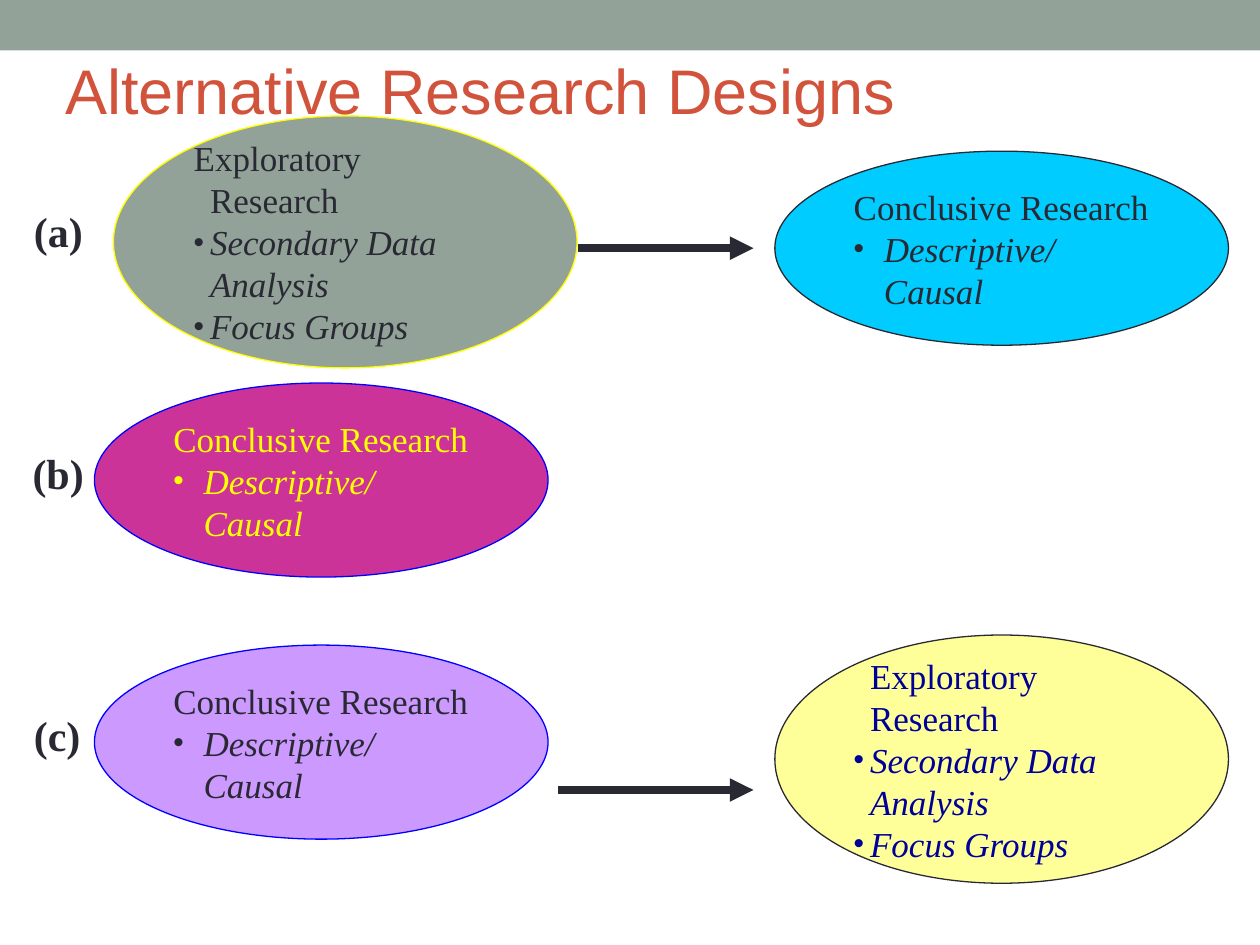
from pptx import Presentation
from pptx.dml.color import RGBColor
from pptx.enum.shapes import MSO_CONNECTOR as Connector, MSO_SHAPE as Shape
from pptx.enum.text import MSO_ANCHOR as Anchor, PP_ALIGN as Align
from pptx.oxml.ns import qn
from pptx.util import Inches, Pt
from lxml.etree import SubElement

TITLE = "Alternative Research Designs"
SERIF, INK, SAGE = "Times New Roman", "292934", "93A299"
EXPLORATORY = ("Exploratory Research", "Secondary Data Analysis", "Focus Groups")
CONCLUSIVE = ("Conclusive Research", "Descriptive/Causal")
LEFT, RIGHT, OVAL_WIDTH, OVAL_HEIGHT = 0.75, 6.15, 3.6, 1.54
ARROW_END = 5.98

# text, left, top, width, height, fill, line, font colour, hanging, first indent
OVALS = [
    (EXPLORATORY, 0.9, 0.92, 3.68, 2, SAGE, "FFFF00", INK, 0.13, -0.13),
    (CONCLUSIVE, LEFT, 3.04, OVAL_WIDTH, OVAL_HEIGHT, "CC3399", "0000FF", "FFFF00", 0.24, -0.24),
    (CONCLUSIVE, RIGHT, 1.2, OVAL_WIDTH, OVAL_HEIGHT, "00CCFF", INK, INK, 0.24, -0.24),
    (EXPLORATORY, RIGHT, 5.04, OVAL_WIDTH, 1.97, "FFFF99", INK, "000099", 0.13, 0),
    (CONCLUSIVE, LEFT, 5.12, OVAL_WIDTH, OVAL_HEIGHT, "CC99FF", "0000FF", INK, 0.24, -0.24),
]
ARROWS = [(4.43, 6.27), (4.59, 1.97)]
LABELS = [("(a)", 0.17, 1.58, 0.59), ("(b)", 0.16, 3.5, 0.69), ("(c)", 0.17, 5.58, 0.65)]


def color(value):
    return RGBColor.from_string(value)


def inches(*values):
    return [Inches(value) for value in values]


def add_span(para, text, size, font, hue, bold=False, italic=False):
    span = para.add_run()
    span.text = text
    span.font.size, span.font.name = Pt(size), font
    span.font.bold, span.font.italic = bold, italic
    span.font.color.rgb = color(hue)


def add_shape(page, kind, area, fill, line=None):
    shape = page.shapes.add_shape(kind, *inches(*area))
    shape.shadow.inherit = False
    shape.fill.solid()
    shape.fill.fore_color.rgb = color(fill)
    if line:
        shape.line.color.rgb = color(line)
        shape.line.width = Pt(0.75)
    else:
        shape.line.fill.background()
    return shape


def add_bullet(para, hue):
    props = para._p.get_or_add_pPr()
    SubElement(SubElement(props, qn("a:buClr")), qn("a:srgbClr"), val=hue)
    SubElement(props, qn("a:buSzPct"), val="85000")
    SubElement(props, qn("a:buFont"), typeface="Arial")
    SubElement(props, qn("a:buChar"), char="•")


def add_oval(page, lines, left, top, width, height, fill, line, hue, hanging, first):
    oval = add_shape(page, Shape.OVAL, (left, top, width, height), fill, line)
    frame = oval.text_frame
    frame.word_wrap = True
    frame.vertical_anchor = Anchor.MIDDLE
    for row, text in enumerate(lines):
        para = frame.add_paragraph() if row else frame.paragraphs[0]
        para.alignment = Align.LEFT
        para.line_spacing = Pt(24)
        if row or hanging < 0.2:
            indent = -hanging if row else first
            props = para._p.get_or_add_pPr()
            props.set("marL", str(Inches(hanging)))
            props.set("indent", str(Inches(indent)))
        if row:
            add_bullet(para, hue)
        add_span(para, text, 20, SERIF, hue, italic=row > 0)


def add_arrow(page, start, level):
    arrow = page.shapes.add_connector(
        Connector.STRAIGHT, *inches(start, level, ARROW_END, level))
    arrow.line.color.rgb = color(INK)
    arrow.line.width = Pt(4.5)
    SubElement(arrow.line._get_or_add_ln(), qn("a:tailEnd"), type="triangle")
    SubElement(arrow._element.spPr, qn("a:effectLst"))


def add_label(page, text, left, top, width):
    box = page.shapes.add_textbox(*inches(left, top, width, 0.5))
    box.text_frame.word_wrap = False
    add_span(box.text_frame.paragraphs[0], text, 24, SERIF, INK, bold=True)


def main():
    """Build the slide of three alternative research designs."""
    deck = Presentation()
    deck.slide_width, deck.slide_height = inches(10, 7.5)
    page = deck.slides.add_slide(deck.slide_layouts[5])
    title = page.shapes.title
    title.left, title.top, title.width, title.height = inches(0.42, 0.4, 8.92, 0.62)
    title.text_frame.vertical_anchor = Anchor.MIDDLE
    para = title.text_frame.paragraphs[0]
    para.alignment = Align.LEFT
    add_span(para, TITLE, 36, "Arial", "D2533C")
    add_shape(page, Shape.RECTANGLE, (0, 0, 10, 0.4), SAGE)
    for oval in OVALS:
        add_oval(page, *oval)
    for arrow in ARROWS:
        add_arrow(page, *arrow)
    for label in LABELS:
        add_label(page, *label)
    deck.save("out.pptx")


if __name__ == "__main__":
    main()
